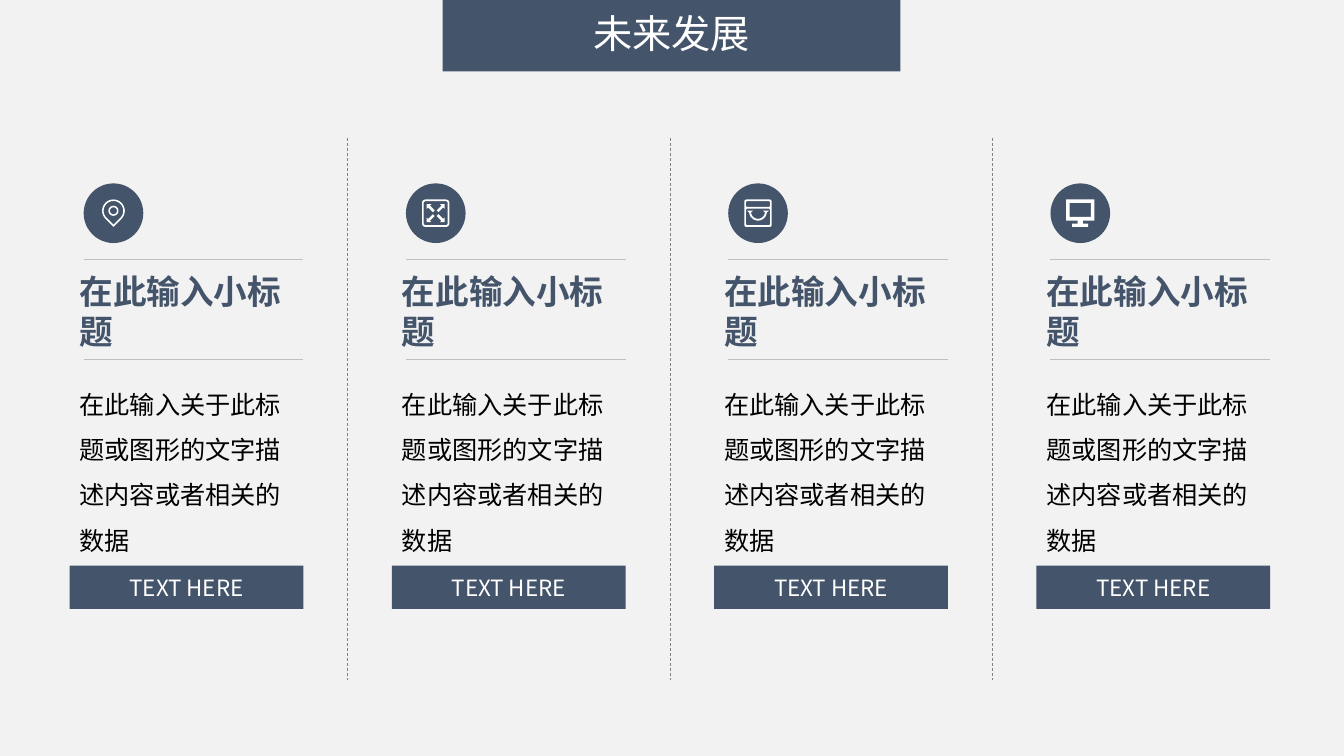
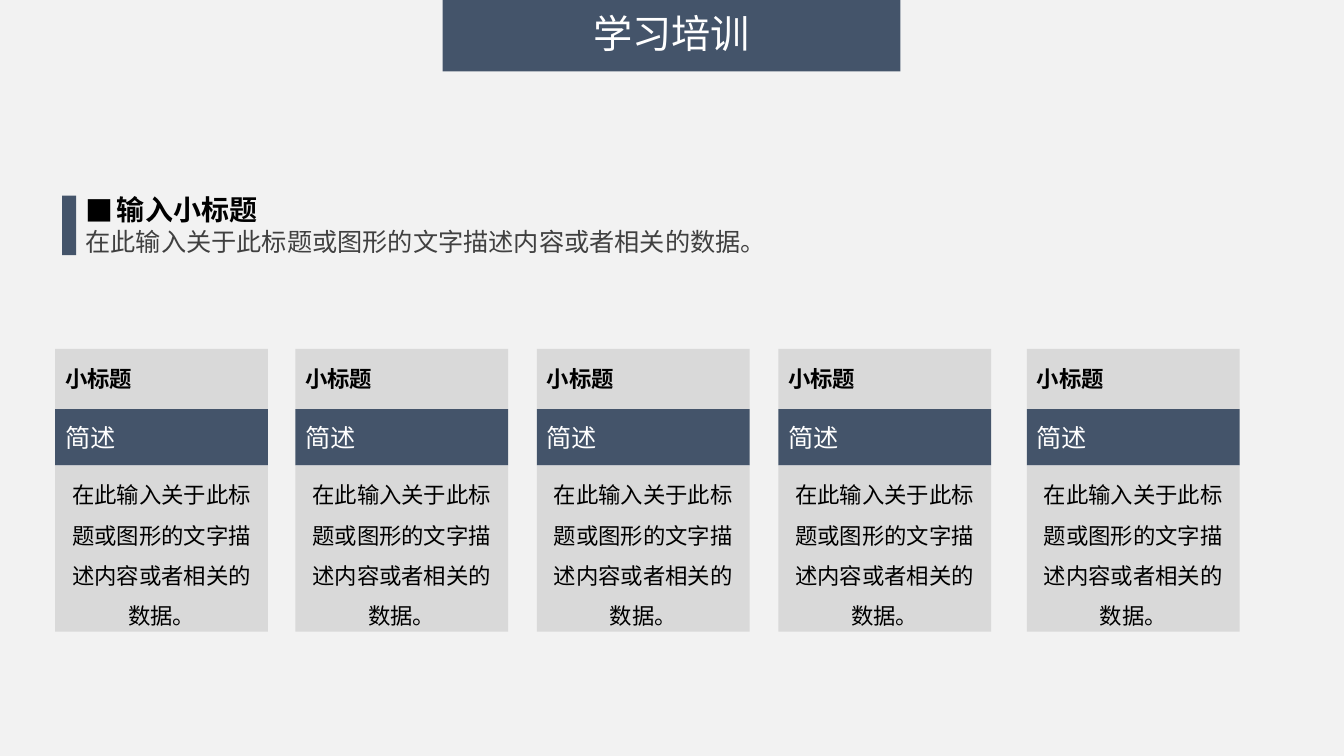
from math import cos, radians, sin

from lxml.etree import SubElement
from pptx import Presentation
from pptx.dml.color import RGBColor
from pptx.enum.dml import MSO_LINE
from pptx.enum.shapes import MSO_CONNECTOR, MSO_SHAPE
from pptx.enum.text import MSO_ANCHOR, PP_ALIGN
from pptx.oxml.ns import qn
from pptx.util import Pt

FONT = "Noto Sans CJK SC"
HUE = {
    "back": "F2F2F2", "navy": "44546A", "white": "FFFFFF", "black": "000000",
    "rule": "BFBFBF", "split": "808080", "card": "D9D9D9", "note": "404040",
}
FUTURE = {
    "title": "未来发展",
    "parts": [
        (icon, "在此输入小标题", "在此输入关于此标题或图形的文字描述内容或者相关的数据", "TEXT HERE")
        for icon in ("pin", "spread", "bag", "screen")
    ],
}
STUDY = {
    "title": "学习培训",
    "head": "输入小标题",
    "note": "在此输入关于此标题或图形的文字描述内容或者相关的数据。",
    "card": ("小标题", "简述", "在此输入关于此标题或图形的文字描述内容或者相关的数据。"),
    "lefts": (39.5, 211, 383.5, 556, 733.5),
}
ROWS = [
    (249.2, 43, "card", {"size": 16, "bold": True}),
    (292.2, 40.3, "navy", {"size": 18, "hue": "white"}),
    (332.5, 118.7, "card", {"size": 16, "align": PP_ALIGN.CENTER, "space": 1.5}),
]


def tint(hue):
    return RGBColor.from_string(HUE[hue])


def write(shape, text, size=18, hue="black", bold=False, align=PP_ALIGN.LEFT, space=None, bullet=None):
    frame = shape.text_frame
    frame.word_wrap = True
    para = frame.add_paragraph() if frame.text else frame.paragraphs[0]
    para.alignment = align
    if space:
        para.line_spacing = space
    if bullet:
        props = para._p.get_or_add_pPr()
        props.set("marL", str(Pt(22.5)))
        props.set("indent", str(-Pt(22.5)))
        SubElement(props, qn("a:buFont")).set("typeface", FONT)
        SubElement(props, qn("a:buChar")).set("char", bullet)
    run = para.add_run()
    run.text = text
    font = run.font
    font.size, font.bold, font.name = Pt(size), bold, FONT
    font.color.rgb = tint(hue)
    SubElement(run._r.get_or_add_rPr(), qn("a:ea")).set("typeface", FONT)


def paint(shape, hue):
    shape.shadow.inherit = False
    shape.fill.solid()
    shape.fill.fore_color.rgb = tint(hue)
    shape.line.fill.background()
    return shape


def block(shapes, x, y, w, h, hue, kind=MSO_SHAPE.RECTANGLE):
    shape = paint(shapes.add_shape(kind, Pt(x), Pt(y), Pt(w), Pt(h)), hue)
    shape.text_frame.vertical_anchor = MSO_ANCHOR.MIDDLE
    return shape


def area(shapes, x, y, w, h):
    return shapes.add_textbox(Pt(x), Pt(y), Pt(w), Pt(h))


def rule(shapes, x, y, end, base, hue, dash=None):
    line = shapes.add_connector(MSO_CONNECTOR.STRAIGHT, Pt(x), Pt(y), Pt(end), Pt(base))
    line.line.color.rgb = tint(hue)
    line.line.width = Pt(0.5)
    if dash:
        line.line.dash_style = dash
    SubElement(line._element.spPr, qn("a:effectLst"))


def arc(x, y, r, start, end, count=24):
    turns = [radians(start + (end - start) * i / count) for i in range(count + 1)]
    return [(x + r * cos(t), y + r * sin(t)) for t in turns]


def box(l, t, r, b, bend=0):
    if not bend:
        return [(l, t), (r, t), (r, b), (l, b)]
    spots = [(r - bend, b - bend), (l + bend, b - bend), (l + bend, t + bend), (r - bend, t + bend)]
    return [p for i, (x, y) in enumerate(spots) for p in arc(x, y, bend, 90 * i, 90 * i + 90, 6)]


def drop(r):
    return arc(0, -1.7, r, 135, 405) + [(0, r * 2 ** 0.5 - 1.7)]


ARROW = [(2, 0.7), (5.4, 4.1), (6.4, 3.1), (6.4, 6.4), (3.1, 6.4), (4.1, 5.4), (0.7, 2)]
ICONS = {
    "pin": [drop(8.1), drop(7), arc(0, -1.7, 3.6, 0, 360), arc(0, -1.7, 2.5, 0, 360)],
    "spread": [box(-9.8, -9.8, 9.8, 9.8, 2.5), box(-8.6, -8.6, 8.6, 8.6, 1.5)]
    + [[(x * h, y * v) for x, y in ARROW] for h in (-1, 1) for v in (-1, 1)],
    "bag": [
        box(-9.8, -9.8, 9.8, 9.8, 1.5),
        box(-8.6, -8.6, 8.6, -4.5, 1),
        box(-8.6, -3.2, 8.6, 8.6, 1),
        [(-7.9, -1.8), (-3.6, -1.8)] + arc(0, -1, 5, 175, 5)
        + [(3.6, -1.8), (7.9, -1.8)] + arc(0, -1, 6.3, 5, 175),
    ],
    "screen": [
        [(-10, -9.8), (10, -9.8), (10, 5.4), (1.8, 5.4), (1.8, 7.5), (5.7, 7.5),
         (5.7, 9.8), (-5.7, 9.8), (-5.7, 7.5), (-1.8, 7.5), (-1.8, 5.4), (-10, 5.4)],
        box(-7.6, -7.4, 7.6, 2.6),
    ],
}


def draw(shapes, name, x, y):
    pen = None
    for ring in ICONS[name]:
        dots = [(Pt(x + a), Pt(y + b)) for a, b in ring]
        if pen:
            pen.move_to(*dots[0])
        else:
            pen = shapes.build_freeform(*dots[0])
        pen.add_line_segments(dots[1:], close=True)
    paint(pen.convert_to_shape(), "white")


def start(deck, title):
    shapes = deck.slides.add_slide(deck.slide_layouts[6]).shapes
    band = block(shapes, 316.2, 0, 327, 51, "navy")
    write(band, title, size=28, hue="white", align=PP_ALIGN.CENTER, space=0.9)
    return shapes


def future(deck):
    shapes = start(deck, FUTURE["title"])
    wide, step, disc = 167, 230.2, 42.6
    for i, (icon, head, body, label) in enumerate(FUTURE["parts"]):
        x = 49.75 + i * step
        if i:
            split = x - 31.5
            rule(shapes, split, 98.6, split, 486, "split", MSO_LINE.DASH)
        block(shapes, x + 10, 131, disc, disc, "navy", MSO_SHAPE.OVAL)
        draw(shapes, icon, x + 10 + disc / 2, 131 + disc / 2)
        for y in (185.6, 256.4):
            rule(shapes, x + 10, y, x + wide, y, "rule")
        write(area(shapes, x, 190, 178.5, 65.5), head, size=24, hue="navy", bold=True)
        write(area(shapes, x, 263.5, wide, 138), body, space=1.5)
        bar = block(shapes, x, 404, wide, 31, "navy")
        write(bar, label, size=16, hue="white", align=PP_ALIGN.CENTER)


def study(deck):
    shapes = start(deck, STUDY["title"])
    block(shapes, 44.4, 139.8, 10, 42.5, "navy")
    intro = area(shapes, 54, 134, 592, 53)
    write(intro, STUDY["head"], size=20, bold=True, bullet="■")
    write(intro, STUDY["note"], hue="note")
    for x in STUDY["lefts"]:
        group = shapes.add_group_shape().shapes
        for text, (y, h, hue, form) in zip(STUDY["card"], ROWS):
            write(block(group, x, y, 152, h, hue), text, **form)


def main():
    deck = Presentation()
    deck.slide_width, deck.slide_height = Pt(960), Pt(540)
    fill = deck.slide_master.background.fill
    fill.solid()
    fill.fore_color.rgb = tint("back")
    future(deck)
    study(deck)
    deck.save("out.pptx")


if __name__ == "__main__":
    main()
